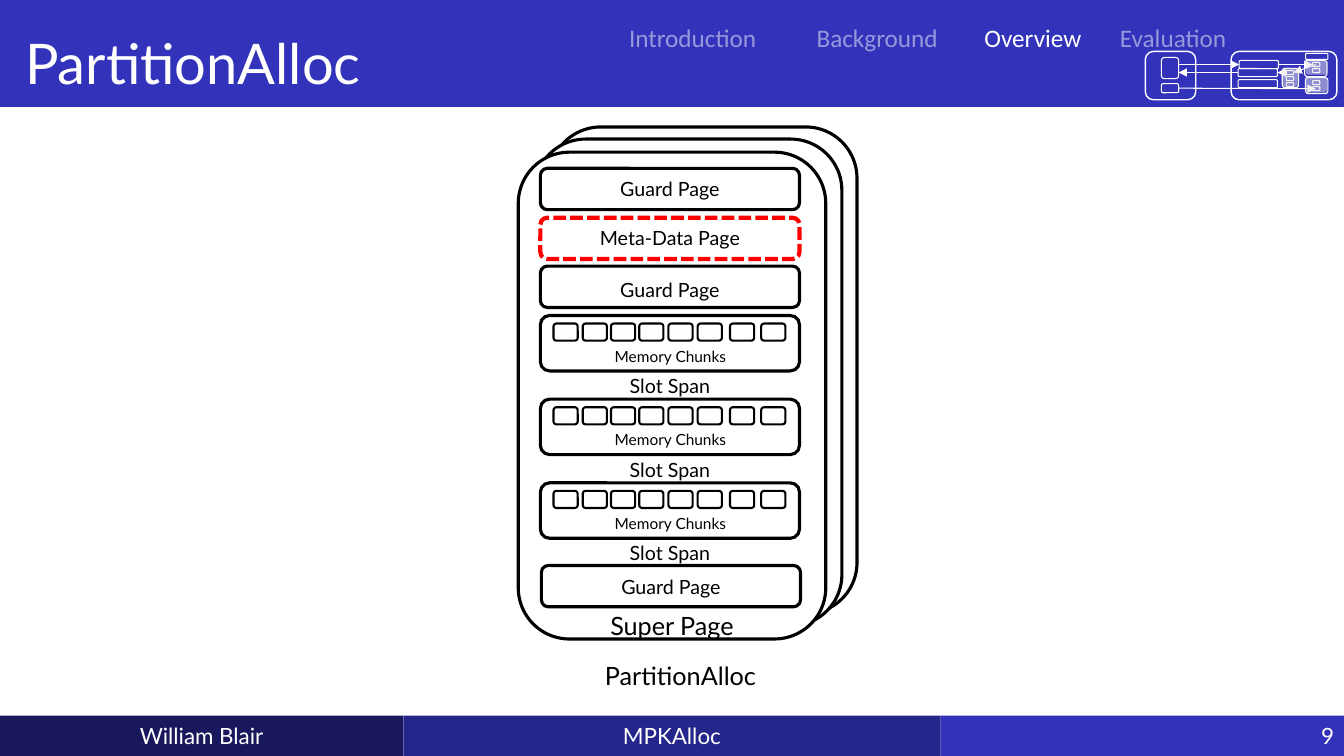
from pptx import Presentation
from pptx.dml.color import RGBColor
from pptx.enum.dml import MSO_LINE
from pptx.enum.shapes import MSO_CONNECTOR, MSO_SHAPE
from pptx.enum.text import MSO_ANCHOR, MSO_AUTO_SIZE, PP_ALIGN
from pptx.oxml.ns import qn
from pptx.util import Emu, Pt
from lxml import etree

PX = 9144  # 100 px to the inch
C = {"bar": "3233BA", "author": "19185C", "topic": "25268B", "white": "FFFFFF",
     "black": "000000", "red": "FF0000", "shade": "E7E6E6"}
TOP, LEFT, BOTTOM, RIGHT = range(4)

prs = Presentation()
prs.slide_width, prs.slide_height = Emu(1333 * PX), Emu(750 * PX)
s = prs.slides.add_slide(prs.slide_layouts[6])


def box(x, y, w, h, fill=None, line=None, width=2.25, dash=None, alpha=None,
        kind=MSO_SHAPE.ROUNDED_RECTANGLE, parent=s):
    sp = parent.shapes.add_shape(kind, *(Emu(v * PX) for v in (x, y, w, h)))
    sp.shadow.inherit = False
    if fill:
        sp.fill.solid()
        sp.fill.fore_color.rgb = RGBColor.from_string(C[fill])
    else:
        sp.fill.background()
    if alpha:
        clr = sp.fill._xPr.find(qn("a:solidFill"))[0]
        etree.SubElement(clr, qn("a:alpha"), val=str(alpha * 1000))
    if line:
        sp.line.color.rgb = RGBColor.from_string(C[line])
        sp.line.width = Pt(width)
        sp.line.dash_style = dash
    else:
        sp.line.fill.background()
    return sp


def write(text, x=0, y=0, w=0, h=0, shape=None, size=14, color="black", font="Lato",
          align=PP_ALIGN.CENTER, alpha=None):
    """Put text in the given shape, or in a new text box at x, y."""
    sp = shape or s.shapes.add_textbox(*(Emu(v * PX) for v in (x, y, w, h)))
    tf = sp.text_frame
    tf.word_wrap = True
    if shape:
        tf.vertical_anchor = MSO_ANCHOR.MIDDLE
    else:
        tf.auto_size = MSO_AUTO_SIZE.SHAPE_TO_FIT_TEXT
    p = tf.paragraphs[0]
    p.alignment = align
    r = p.add_run()
    r.text = text
    r.font.size, r.font.name = Pt(size), font
    r.font.color.rgb = RGBColor.from_string(C[color])
    if alpha:
        clr = r.font._element.find(qn("a:solidFill"))[0]
        etree.SubElement(clr, qn("a:alpha"), val=str(alpha * 1000))
    return tf


# Title bar and footer
title = box(0, 0, 1333, 106, fill="bar", kind=MSO_SHAPE.RECTANGLE)
tf = write("PartitionAlloc", shape=title, size=40, color="white", align=PP_ALIGN.LEFT)
tf.margin_left, tf.margin_top = Emu(25 * PX), Emu(30 * PX)
tf.paragraphs[0].line_spacing = 0.9

for text, x, w, fill, align in [("9", 933, 400, "bar", PP_ALIGN.RIGHT),
                                ("William Blair", 0, 400, "author", PP_ALIGN.CENTER),
                                ("MPKAlloc", 400, 533, "topic", PP_ALIGN.CENTER)]:
    cell = box(x, 710, w, 40, fill=fill, kind=MSO_SHAPE.RECTANGLE)
    write(text, shape=cell, size=16, color="white", align=align)

# Stack of super pages
for x, y in [(545, 126), (530, 138), (514, 151)]:
    box(x, y, 305, 483, fill="white", line="black")
write("Super Page", 539, 601, 255, 40, size=18)
write("PartitionAlloc", 507, 650, 336, 40, size=18)

# Pages
for text, x, y, text_y in [("Guard Page", 536, 167, 171), ("Meta-Data Page", 536, 216, 219),
                           ("Guard Page", 536, 264, 271), ("Guard Page", 537, 561, 565)]:
    if text == "Meta-Data Page":
        box(x, y, 257, 41, line="red", width=3, dash=MSO_LINE.SQUARE_DOT)
        s.shapes[-1].line.dash_style = MSO_LINE.SQUARE_DOT
    else:
        box(x, y, 257, 41, line="black")
    write(text, x, text_y, 257, 34)

# Slot spans
for y in range(313, 480, 83):
    box(536, y, 257, 55, line="black")
    for chunk_x in (549, 578, 606, 634, 663, 692, 724, 755):
        box(chunk_x, y + 8, 24, 17, line="black", width=1.5)
    write("Memory Chunks", 536, y + 26, 258, 29, size=11)
    write("Slot Span", 536, y + 53, 257, 34)

# Section navigation
for text, x, w, alpha in [("Introduction", 609, 156, 50), ("Background", 792, 156, 50),
                          ("Overview", 933, 183, None), ("Evaluation", 1072, 183, 50)]:
    write(text, x, 17, w, 40, size=18, color="white", font="Calibri", alpha=alpha)

# Miniature overview diagram
mini = s.shapes.add_group_shape()
for x, w in [(1136, 50), (1221, 105)]:
    box(x, 51, w, 48, line="white", width=1, parent=mini)
parts = {}
for name, x, y, w, h in [
        ("client", 1152, 57, 17, 21), ("client low", 1152, 83, 17, 9),
        ("bar 1", 1229, 60, 39, 8), ("bar 2", 1228, 68, 39, 8), ("bar 3", 1228, 79, 39, 8),
        ("heap label", 1295, 53, 22, 6), ("heap 1", 1294, 60, 22, 16), ("heap 2", 1295, 77, 22, 16),
        ("chunk 1", 1302, 62, 7, 4), ("chunk 2", 1302, 68, 7, 4),
        ("chunk 3", 1302, 80, 7, 4), ("chunk 4", 1302, 86, 7, 4),
        ("table", 1272, 68, 16, 19),
        ("entry 1", 1276, 70, 7, 4), ("entry 2", 1276, 76, 7, 4), ("entry 3", 1276, 82, 7, 4)]:
    parts[name] = box(x, y, w, h, line="white", width=0.75, parent=mini)

for x1, y1, x2, y2, begin, end in [
        (1169, 64, 1229, 64, None, ("bar 1", LEFT)),
        (1268, 64, 1302, 64, ("bar 1", RIGHT), ("chunk 1", LEFT)),
        (1305, 64, 1283, 72, None, ("entry 1", RIGHT)),
        (1276, 72, 1267, 72, ("entry 1", LEFT), ("bar 2", RIGHT)),
        (1228, 72, 1169, 72, ("bar 2", LEFT), None),
        (1169, 88, 1305, 88, ("client low", RIGHT), None)]:
    arrow = mini.shapes.add_connector(MSO_CONNECTOR.STRAIGHT,
                                      *(Emu(v * PX) for v in (x1, y1, x2, y2)))
    if begin:
        arrow.begin_connect(parts[begin[0]], begin[1])
    if end:
        arrow.end_connect(parts[end[0]], end[1])
    arrow.line.color.rgb = RGBColor.from_string(C["white"])
    arrow.line.width = Pt(0.75)
    etree.SubElement(arrow.line._get_or_add_ln(), qn("a:tailEnd"), type="triangle")
    etree.SubElement(arrow._element.spPr, qn("a:effectLst"))

for x, y, w, h in [(1295, 60, 22, 14), (1294, 76, 22, 16), (1271, 67, 17, 19)]:
    box(x, y, w, h, fill="shade", alpha=50)

prs.save("out.pptx")
